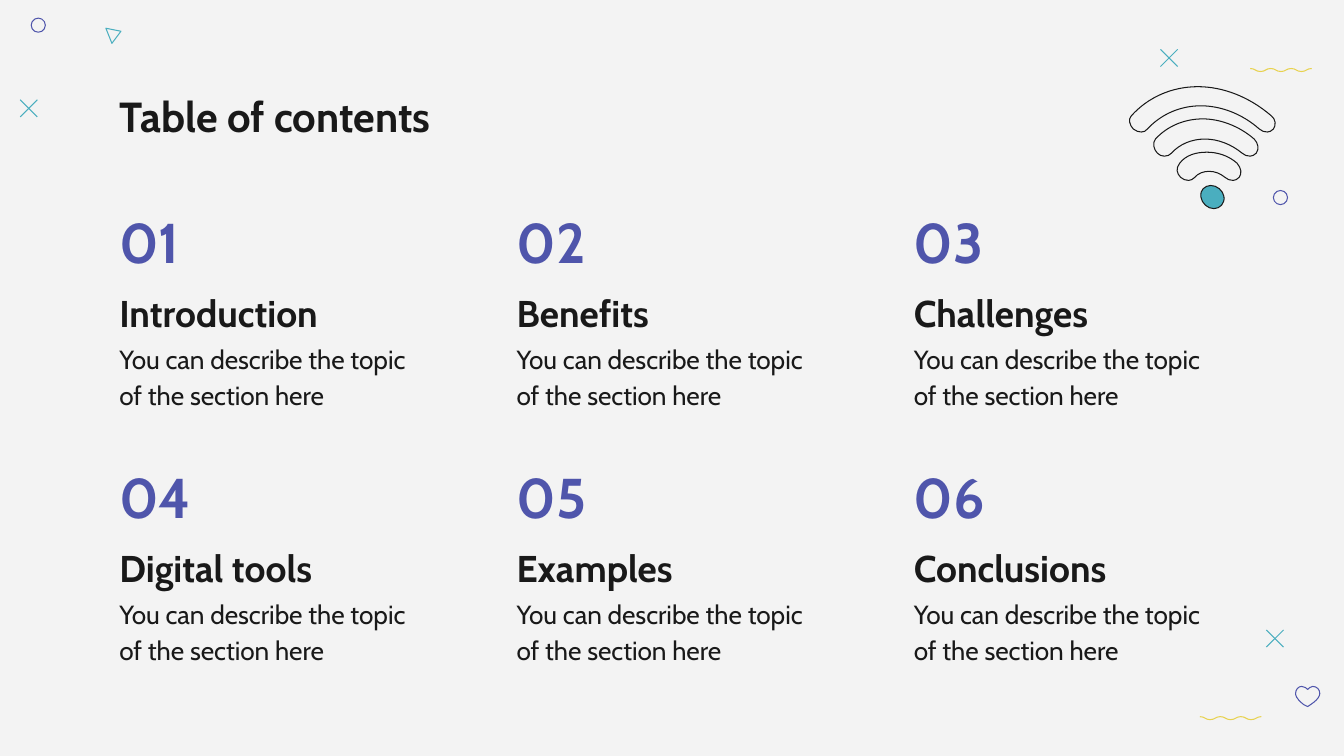
from dataclasses import dataclass

from lxml.etree import SubElement
from pptx import Presentation
from pptx.dml.color import RGBColor
from pptx.enum.shapes import MSO_CONNECTOR, MSO_SHAPE
from pptx.enum.text import MSO_ANCHOR, MSO_AUTO_SIZE, PP_ALIGN
from pptx.oxml.ns import qn
from pptx.util import Inches, Pt


@dataclass(frozen=True)
class Theme:
    font: str = "Cabin"
    paper: str = "F3F3F3"
    ink: str = "191919"
    indigo: str = "4F55AB"
    teal: str = "4AAEBF"
    yellow: str = "E8D24F"
    title_size: float = 30
    number_size: float = 40
    heading_size: float = 26.67
    body_size: float = 18.67
    line_width: float = 0.75
    inset: float = 9.6


class SlideBuilder:
    def __init__(self, slide, theme):
        self.slide = slide
        self.theme = theme
        slide.background.fill.solid()
        slide.background.fill.fore_color.rgb = RGBColor.from_string(theme.paper)

    def outline(self, shape, color, fill=None):
        shape.shadow.inherit = False
        shape.line.color.rgb = RGBColor.from_string(color)
        shape.line.width = Pt(self.theme.line_width)
        if fill:
            shape.fill.solid()
            shape.fill.fore_color.rgb = RGBColor.from_string(fill)
        else:
            shape.fill.background()

    def format_text(self, box, text, size, color, bold, anchor, spacing):
        frame = box.text_frame
        frame.text = text
        frame.word_wrap = True
        frame.auto_size = MSO_AUTO_SIZE.NONE
        frame.vertical_anchor = anchor
        inset = Pt(self.theme.inset)
        frame.margin_left = frame.margin_right = inset
        frame.margin_top = frame.margin_bottom = inset
        para = frame.paragraphs[0]
        para.alignment = PP_ALIGN.LEFT
        para.line_spacing = spacing
        font = para.runs[0].font
        font.name, font.size, font.bold = self.theme.font, Pt(size), bold
        font.color.rgb = RGBColor.from_string(color)

    def title(self, text, left, top, width, height):
        box = self.slide.shapes.title
        box.left, box.top = Inches(left), Inches(top)
        box.width, box.height = Inches(width), Inches(height)
        self.format_text(box, text, self.theme.title_size, self.theme.ink,
                         True, MSO_ANCHOR.TOP, 1.0)

    def text(self, text, left, top, width, height, size, color,
             bold=False, anchor=MSO_ANCHOR.TOP, spacing=1.0):
        box = self.slide.shapes.add_textbox(
            Inches(left), Inches(top), Inches(width), Inches(height))
        self.format_text(box, text, size, color, bold, anchor, spacing)

    def line(self, x1, y1, x2, y2, color):
        line = self.slide.shapes.add_connector(
            MSO_CONNECTOR.STRAIGHT,
            Inches(x1), Inches(y1), Inches(x2), Inches(y2))
        line.line.color.rgb = RGBColor.from_string(color)
        line.line.width = Pt(self.theme.line_width)
        SubElement(line._element.spPr, qn("a:effectLst"))

    def cross(self, left, top, size=0.17):
        right, bottom = left + size, top + size
        self.line(left, top, right, bottom, self.theme.teal)
        self.line(right, top, left, bottom, self.theme.teal)

    def ring(self, left, top, size=0.14):
        ring = self.slide.shapes.add_shape(
            MSO_SHAPE.OVAL, Inches(left), Inches(top), Inches(size), Inches(size))
        self.outline(ring, self.theme.indigo)

    def polygon(self, points, color, fill=None, close=True):
        corners = [(Inches(x), Inches(y)) for x, y in points]
        builder = self.slide.shapes.build_freeform(*corners[0])
        builder.add_line_segments(corners[1:], close=close)
        shape = builder.convert_to_shape()
        self.outline(shape, color, fill)
        return shape

    def curve(self, nodes, color, fill=None, close=True):
        """Draw cubic curves: a start point, then three points for each curve."""
        shape = self.polygon(nodes[::3], color, fill, close)
        # Bend each straight segment into a cubic one
        segments = list(shape._element.iter(qn("a:lnTo")))
        for index, segment in enumerate(segments[:len(nodes) // 3]):
            segment.tag = qn("a:cubicBezTo")
            segment.clear()
            for x, y in nodes[3 * index + 1:3 * index + 4]:
                SubElement(segment, qn("a:pt"), x=str(Inches(x) - shape.left),
                           y=str(Inches(y) - shape.top))

    def wave(self, left, top, width=0.61, depth=0.03, bends=6):
        step = width / bends
        nodes = [(left, top)]
        for bend in range(bends):
            x = left + bend * step
            start, end = (top, top + depth) if bend % 2 == 0 else (top + depth, top)
            nodes += [(x + step / 2, start), (x + step / 2, end), (x + step, end)]
        self.curve(nodes, self.theme.yellow, close=False)


HEART = [
    (12.93, 6.99), (12.85, 6.93), (12.85, 6.89), (12.85, 6.88),
    (12.85, 6.84), (12.88, 6.81), (12.91, 6.81),
    (12.94, 6.81), (12.96, 6.83), (12.97, 6.84),
    (12.98, 6.83), (13, 6.81), (13.02, 6.81),
    (13.06, 6.81), (13.09, 6.84), (13.09, 6.88),
    (13.09, 6.89), (13.09, 6.93), (13, 6.99),
    (13, 6.99), (12.97, 7.01), (12.97, 7.01),
]
WIFI_BANDS = [
    [(11.88, 0.86), (11.63, 0.86), (11.39, 0.96), (11.22, 1.15),
     (11.19, 1.18), (11.2, 1.24), (11.24, 1.28),
     (11.27, 1.3), (11.29, 1.31), (11.32, 1.31),
     (11.34, 1.31), (11.37, 1.3), (11.38, 1.28),
     (11.52, 1.13), (11.71, 1.05), (11.91, 1.05),
     (12.11, 1.05), (12.32, 1.13), (12.49, 1.28),
     (12.51, 1.3), (12.54, 1.31), (12.57, 1.31),
     (12.59, 1.31), (12.61, 1.3), (12.63, 1.28),
     (12.66, 1.24), (12.65, 1.18), (12.61, 1.15),
     (12.39, 0.96), (12.13, 0.86), (11.88, 0.86)],
    [(11.93, 1.18), (11.75, 1.18), (11.58, 1.25), (11.46, 1.38),
     (11.43, 1.42), (11.44, 1.48), (11.48, 1.52),
     (11.5, 1.54), (11.52, 1.55), (11.55, 1.55),
     (11.58, 1.55), (11.6, 1.54), (11.62, 1.52),
     (11.7, 1.43), (11.82, 1.38), (11.95, 1.38),
     (12.08, 1.38), (12.21, 1.43), (12.32, 1.52),
     (12.34, 1.54), (12.37, 1.55), (12.4, 1.55),
     (12.42, 1.55), (12.44, 1.54), (12.46, 1.52),
     (12.49, 1.48), (12.48, 1.42), (12.44, 1.38),
     (12.29, 1.25), (12.1, 1.18), (11.93, 1.18)],
    [(11.97, 1.51), (11.86, 1.51), (11.76, 1.54), (11.7, 1.62),
     (11.66, 1.67), (11.67, 1.72), (11.71, 1.76),
     (11.73, 1.78), (11.76, 1.79), (11.79, 1.79),
     (11.81, 1.79), (11.83, 1.78), (11.85, 1.76),
     (11.88, 1.72), (11.94, 1.7), (11.99, 1.7),
     (12.05, 1.7), (12.1, 1.72), (12.15, 1.76),
     (12.17, 1.78), (12.2, 1.79), (12.23, 1.79),
     (12.25, 1.79), (12.27, 1.78), (12.29, 1.76),
     (12.32, 1.72), (12.31, 1.67), (12.27, 1.62),
     (12.18, 1.54), (12.07, 1.51), (11.97, 1.51)],
]
WIFI_DOT = [
    (12.01, 1.84), (11.95, 1.84), (11.9, 1.89), (11.91, 1.95),
    (11.92, 2.02), (11.98, 2.07), (12.04, 2.07),
    (12.1, 2.07), (12.15, 2.02), (12.14, 1.95),
    (12.13, 1.89), (12.07, 1.84), (12.01, 1.84),
]
SECTIONS = ["Introduction", "Benefits", "Challenges",
            "Digital tools", "Examples", "Conclusions"]
DESCRIPTION = "You can describe the topic of the section here"


def main():
    deck = Presentation()
    deck.slide_width, deck.slide_height = Inches(13.33), Inches(7.5)
    theme = Theme()
    page = SlideBuilder(deck.slides.add_slide(deck.slide_layouts[5]), theme)

    # Scattered ornaments
    for left, top in [(0.2, 0.99), (12.56, 6.25), (11.51, 0.49)]:
        page.cross(left, top)
    for left, top in [(0.31, 0.18), (12.63, 1.89)]:
        page.ring(left, top)
    for left, top in [(11.9, 7.11), (12.4, 0.68)]:
        page.wave(left, top)
    page.polygon([(1.05, 0.28), (1.11, 0.43), (1.2, 0.31)], theme.teal)
    page.curve(HEART, theme.indigo)

    # Title
    page.title("Table of contents", 1.05, 0.76, 11.23, 0.97)

    # Sections in three columns and two rows
    for index, heading in enumerate(SECTIONS):
        row, column = divmod(index, 3)
        left, drop = 1.05 + column * 3.94, row * 2.53
        page.text(f"{index + 1:02}", left, 2.02 + drop, 1, 0.84,
                  theme.number_size, theme.indigo, True, MSO_ANCHOR.BOTTOM)
        page.text(heading, left, 2.75 + drop, 3.36, 0.71,
                  theme.heading_size, theme.ink, True, MSO_ANCHOR.BOTTOM, 1.15)
        page.text(DESCRIPTION, left, 3.23 + drop, 3.36, 0.84,
                  theme.body_size, theme.ink, spacing=1.15)

    # Wireless signal icon
    for band in WIFI_BANDS:
        page.curve(band, theme.ink, theme.paper)
    page.curve(WIFI_DOT, theme.ink, theme.teal)

    deck.save("out.pptx")


if __name__ == "__main__":
    main()
